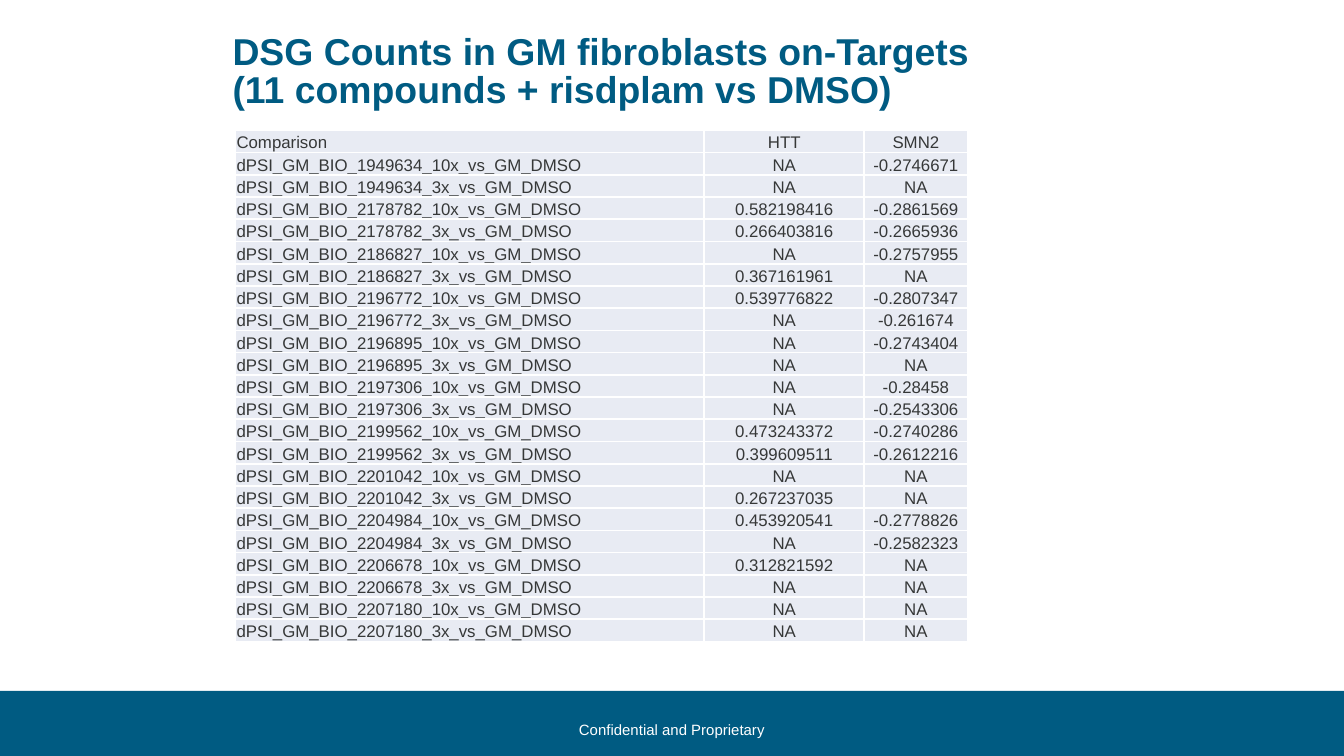
from lxml import etree
from pptx import Presentation
from pptx import util as u
from pptx.dml.color import RGBColor
from pptx.enum import shapes, text
from pptx.oxml import ns

TEAL = RGBColor(0x00, 0x5B, 0x82)
PALE = RGBColor(0xE8, 0xEB, 0xF3)
INK = RGBColor(0x36, 0x38, 0x38)
WHITE = RGBColor(0xFF, 0xFF, 0xFF)
FONT = "Arial"

SLIDE_WIDTH = 10
SLIDE_HEIGHT = SLIDE_WIDTH * 9 / 16

HEADINGS = ("Comparison", "HTT", "SMN2")
COLUMN_WIDTHS = (3.49, 1.19, 0.77)
DOSES = ("10x", "3x")
COMPOUNDS = {
    "1949634": (("NA", "-0.2746671"), ("NA", "NA")),
    "2178782": (("0.582198416", "-0.2861569"), ("0.266403816", "-0.2665936")),
    "2186827": (("NA", "-0.2757955"), ("0.367161961", "NA")),
    "2196772": (("0.539776822", "-0.2807347"), ("NA", "-0.261674")),
    "2196895": (("NA", "-0.2743404"), ("NA", "NA")),
    "2197306": (("NA", "-0.28458"), ("NA", "-0.2543306")),
    "2199562": (("0.473243372", "-0.2740286"), ("0.399609511", "-0.2612216")),
    "2201042": (("NA", "NA"), ("0.267237035", "NA")),
    "2204984": (("0.453920541", "-0.2778826"), ("NA", "-0.2582323")),
    "2206678": (("0.312821592", "NA"), ("NA", "NA")),
    "2207180": (("NA", "NA"), ("NA", "NA")),
}


def add_run(paragraph, wording, size, color, bold=False):
    run = paragraph.add_run()
    run.text = wording
    run.font.name = FONT
    run.font.size = u.Pt(size)
    run.font.bold = bold
    run.font.color.rgb = color


def set_margins(holder, left, top, right, bottom):
    holder.margin_left, holder.margin_top = u.Inches(left), u.Inches(top)
    holder.margin_right, holder.margin_bottom = u.Inches(right), u.Inches(bottom)


def add_footer(slide, left, top, width, height):
    band = slide.shapes.add_shape(
        shapes.MSO_SHAPE.RECTANGLE,
        u.Inches(left), u.Inches(top), u.Inches(width), u.Inches(height))
    band.shadow.inherit = False
    band.fill.solid()
    band.fill.fore_color.rgb = TEAL
    band.line.fill.background()

    notice_width = 1.6
    notice = slide.shapes.add_textbox(
        u.Inches(left + (width - notice_width) / 2), u.Inches(top + 0.17),
        u.Inches(notice_width), u.Inches(0.24))
    frame = notice.text_frame
    frame.word_wrap = False
    frame.vertical_anchor = text.MSO_ANCHOR.MIDDLE
    paragraph = frame.paragraphs[0]
    paragraph.alignment = text.PP_ALIGN.CENTER
    add_run(paragraph, "Confidential and Proprietary", 8, WHITE)


def add_title(slide, left, top, width, height):
    title = slide.shapes.title
    title.left, title.top = u.Inches(left), u.Inches(top)
    title.width, title.height = u.Inches(width), u.Inches(height)
    frame = title.text_frame
    frame.word_wrap = True
    frame.auto_size = text.MSO_AUTO_SIZE.NONE
    frame.vertical_anchor = text.MSO_ANCHOR.TOP
    set_margins(frame, 0.1, 0.05, 0, 0.05)
    paragraph = frame.paragraphs[0]
    paragraph.alignment = text.PP_ALIGN.LEFT
    paragraph.line_spacing = 0.85
    add_run(paragraph, "DSG Counts in GM fibroblasts on-Targets", 20, TEAL, True)
    paragraph.add_line_break()
    add_run(paragraph, "(11 compounds + risdplam vs DMSO)", 20, TEAL, True)


def add_borders(cell):
    properties = cell._tc.get_or_add_tcPr()
    for position, side in enumerate(("a:lnL", "a:lnR", "a:lnT", "a:lnB")):
        border = etree.Element(ns.qn(side), w=str(u.Pt(1)))
        fill = etree.SubElement(border, ns.qn("a:solidFill"))
        etree.SubElement(fill, ns.qn("a:srgbClr"), val=str(WHITE))
        properties.insert(position, border)


def fill_cell(cell, wording, alignment):
    cell.fill.solid()
    cell.fill.fore_color.rgb = PALE
    cell.vertical_anchor = text.MSO_ANCHOR.BOTTOM
    set_margins(cell, 0.01, 0.01, 0.01, 0)
    paragraph = cell.text_frame.paragraphs[0]
    paragraph.alignment = alignment
    add_run(paragraph, wording, 9, INK)
    add_borders(cell)


def add_counts_table(slide, left, top, width, height):
    records = [HEADINGS] + [
        (f"dPSI_GM_BIO_{compound}_{dose}_vs_GM_DMSO", *counts)
        for compound, results in COMPOUNDS.items()
        for dose, counts in zip(DOSES, results)
    ]
    counts_table = slide.shapes.add_table(
        len(records), len(HEADINGS),
        u.Inches(left), u.Inches(top), u.Inches(width), u.Inches(height)).table
    counts_table.first_row = False
    counts_table.horz_banding = False
    for column, column_width in zip(counts_table.columns, COLUMN_WIDTHS):
        column.width = u.Inches(column_width)
    for row, record in zip(counts_table.rows, records):
        row.height = u.Inches(height / len(records))
        for index, (cell, wording) in enumerate(zip(row.cells, record)):
            alignment = text.PP_ALIGN.CENTER if index else text.PP_ALIGN.LEFT
            fill_cell(cell, wording, alignment)


def main():
    deck = Presentation()
    deck.slide_width = u.Inches(SLIDE_WIDTH)
    deck.slide_height = u.Inches(SLIDE_HEIGHT)
    slide = deck.slides.add_slide(deck.slide_layouts.get_by_name("Title Only"))
    footer_top = 5.14
    add_footer(slide, 0, footer_top, SLIDE_WIDTH, SLIDE_HEIGHT - footer_top)
    add_counts_table(slide, 1.75, 0.97, sum(COLUMN_WIDTHS), 3.81)
    add_title(slide, 1.63, 0.21, 6.05, 0.68)
    deck.save("out.pptx")


if __name__ == "__main__":
    main()
